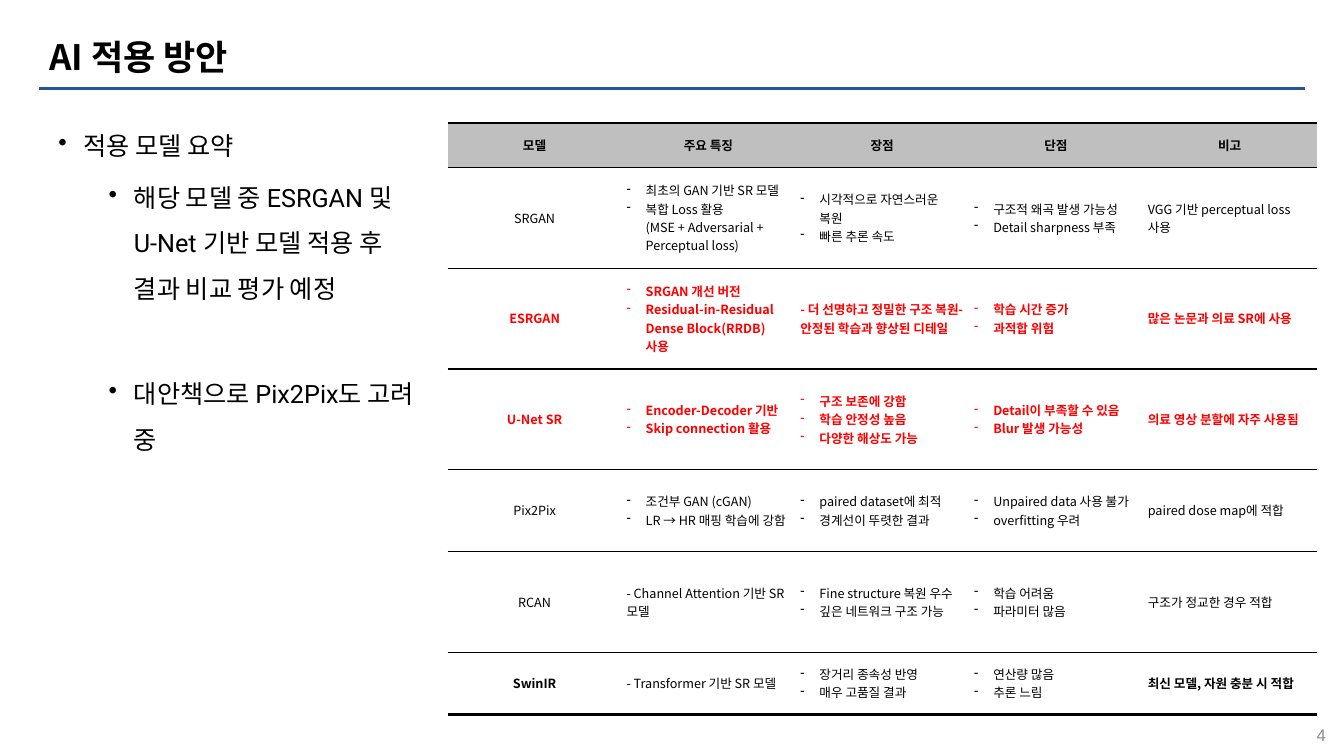
from lxml import etree
from pptx import Presentation
from pptx import util as u
from pptx.dml.color import RGBColor
from pptx.enum import shapes, text
from pptx.oxml.ns import qn

BLACK = RGBColor(0, 0, 0)
RED = RGBColor(0xFF, 0, 0)
WHITE = RGBColor(0xFF, 0xFF, 0xFF)
HEADER_GRAY = RGBColor(0xBF, 0xBF, 0xBF)
NUMBER_GRAY = RGBColor(0x8C, 0x8C, 0x8C)
RULE_BLUE = RGBColor(0x24, 0x54, 0x9C)
KOREAN = "Noto Sans CJK KR"
NO_TABLE_STYLE = "{2D5ABB26-0587-4C30-8999-92F81FD0307C}"


def add_text(p, content, size, font=KOREAN, color=BLACK, bold=False):
    for i, line in enumerate(content.split("\n")):
        if i:
            p.add_line_break()
        r = p.add_run()
        r.text = line
        r.font.size = u.Pt(size)
        r.font.name = font
        r.font.bold = bold
        r.font.color.rgb = color
        etree.SubElement(r.font._element, qn("a:ea"), typeface=KOREAN)


def add_bullet(p, char, margin, hang):
    pPr = p._p.get_or_add_pPr()
    pPr.set("marL", str(u.Inches(margin)))
    pPr.set("indent", str(-u.Inches(hang)))
    etree.SubElement(pPr, qn("a:buChar"), char=char)


prs = Presentation()
prs.slide_width = u.Inches(13.33)
prs.slide_height = u.Inches(7.5)
s = prs.slides.add_slide(prs.slide_layouts[6])

rule = s.shapes.add_connector(
    shapes.MSO_CONNECTOR.STRAIGHT,
    u.Inches(0.39), u.Inches(0.88), u.Inches(12.94), u.Inches(0.88))
rule.line.color.rgb = RULE_BLUE
rule.line.width = u.Pt(2.25)
etree.SubElement(rule._element.spPr, qn("a:effectLst"))

number = s.shapes.add_textbox(u.Inches(12.56), u.Inches(7.09), u.Inches(0.69), u.Inches(0.4))
tf = number.text_frame
tf.word_wrap = True
tf.vertical_anchor = text.MSO_ANCHOR.MIDDLE
p = tf.paragraphs[0]
p.alignment = text.PP_ALIGN.RIGHT
add_text(p, "4", 12, "Arial", NUMBER_GRAY)

body = s.shapes.add_textbox(u.Inches(0.48), u.Inches(1.09), u.Inches(12.47), u.Inches(5.77))
tf = body.text_frame
tf.word_wrap = True
points = [
    ("적용 모델 요약", 0, 0),
    ("해당 모델 중 ESRGAN 및\nU-Net 기반 모델 적용 후\n결과 비교 평가 예정", 1, 5),
    ("대안책으로 Pix2Pix도 고려\n중", 1, 43),
]
for i, (content, level, before) in enumerate(points):
    p = tf.add_paragraph() if i else tf.paragraphs[0]
    p.level = level
    p.line_spacing = 1.5
    p.space_before = u.Pt(before)
    add_bullet(p, "•", 0.25 + 0.5 * level, 0.25)
    add_text(p, content, 18, "Roboto")

title = s.shapes.add_textbox(u.Inches(0.39), u.Inches(0.3), u.Inches(12.55), u.Inches(0.58))
tf = title.text_frame
tf.word_wrap = True
tf.vertical_anchor = text.MSO_ANCHOR.MIDDLE
p = tf.paragraphs[0]
p.line_spacing = 0.9
add_text(p, "AI 적용 방안", 25, bold=True)

models = [
    ("모델", "주요 특징", "장점", "단점", "비고"),
    ("SRGAN",
     ["최초의 GAN 기반 SR 모델", "복합 Loss 활용\n(MSE + Adversarial + Perceptual loss)"],
     ["시각적으로 자연스러운 복원", "빠른 추론 속도"],
     ["구조적 왜곡 발생 가능성", "Detail sharpness 부족"],
     "VGG 기반 perceptual loss 사용"),
    ("ESRGAN",
     ["SRGAN 개선 버전", "Residual-in-Residual Dense Block(RRDB) 사용"],
     "- 더 선명하고 정밀한 구조 복원- 안정된 학습과 향상된 디테일",
     ["학습 시간 증가", "과적합 위험"],
     "많은 논문과 의료 SR에 사용"),
    ("U-Net SR",
     ["Encoder-Decoder 기반", "Skip connection 활용"],
     ["구조 보존에 강함", "학습 안정성 높음", "다양한 해상도 가능"],
     ["Detail이 부족할 수 있음", "Blur 발생 가능성"],
     "의료 영상 분할에 자주 사용됨"),
    ("Pix2Pix",
     ["조건부 GAN (cGAN)", "LR → HR 매핑 학습에 강함"],
     ["paired dataset에 최적", "경계선이 뚜렷한 결과"],
     ["Unpaired data 사용 불가", "overfitting 우려"],
     "paired dose map에 적합"),
    ("RCAN",
     "- Channel Attention 기반 SR 모델",
     ["Fine structure 복원 우수", "깊은 네트워크 구조 가능"],
     ["학습 어려움", "파라미터 많음"],
     "구조가 정교한 경우 적합"),
    ("SwinIR",
     "- Transformer 기반 SR 모델",
     ["장거리 종속성 반영", "매우 고품질 결과"],
     ["연산량 많음", "추론 느림"],
     "최신 모델, 자원 충분 시 적합"),
]
row_heights = [0.44, 1, 1, 1, 0.81, 1, 0.62]
last = len(models) - 1
chosen = ("ESRGAN", "U-Net SR")

frame = s.shapes.add_table(
    len(models), 5, u.Inches(4.44), u.Inches(1.22), u.Inches(8.62), u.Inches(5.87))
table = frame.table
table.first_row = False
table.horz_banding = False
table._tbl.tblPr.find(qn("a:tableStyleId")).text = NO_TABLE_STYLE
for column in table.columns:
    column.width = u.Inches(8.62 / 5)

for i, model in enumerate(models):
    table.rows[i].height = u.Inches(row_heights[i])
    color = RED if model[0] in chosen else BLACK
    for j, content in enumerate(model):
        cell = table.cell(i, j)
        cell.vertical_anchor = text.MSO_ANCHOR.MIDDLE
        cell.margin_left = cell.margin_right = u.Inches(0.05)
        cell.margin_top = cell.margin_bottom = u.Inches(0.03)
        tcPr = cell._tc.get_or_add_tcPr()
        for tag, outer in (("a:lnT", i == 0), ("a:lnB", i == last)):
            ln = etree.SubElement(tcPr, qn(tag), w=str(u.Pt(2 if outer else 1)))
            fill = etree.SubElement(ln, qn("a:solidFill"))
            etree.SubElement(fill, qn("a:srgbClr"), val=str(BLACK))
        cell.fill.solid()
        cell.fill.fore_color.rgb = WHITE if i else HEADER_GRAY

        bold = i == 0 or model[0] in chosen or (i == last and j in (0, 4))
        bulleted = isinstance(content, list)
        tf = cell.text_frame
        for k, item in enumerate(content if bulleted else [content]):
            p = tf.add_paragraph() if k else tf.paragraphs[0]
            if i == 0 or j == 0:
                p.alignment = text.PP_ALIGN.CENTER
            if bulleted:
                add_bullet(p, "-", 0.19, 0.19)
            add_text(p, item, 9, color=color, bold=bold)

prs.save("out.pptx")
